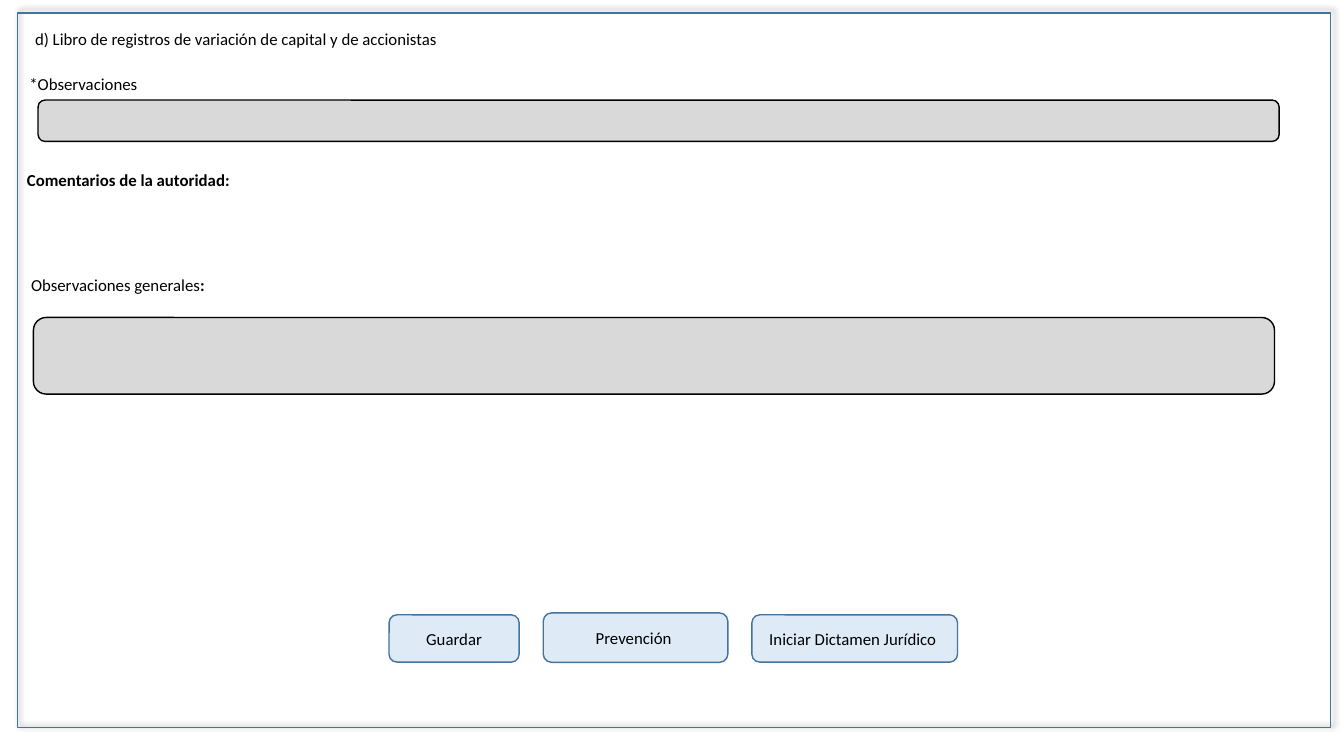
from lxml import etree
from pptx import Presentation
from pptx.dml.color import RGBColor
from pptx.enum.shapes import MSO_SHAPE
from pptx.enum.text import MSO_ANCHOR, MSO_AUTO_SIZE, PP_ALIGN
from pptx.oxml.ns import qn
from pptx.util import Pt

RECT, ROUNDED = MSO_SHAPE.RECTANGLE, MSO_SHAPE.ROUNDED_RECTANGLE
MIDDLE, CENTER = MSO_ANCHOR.MIDDLE, PP_ALIGN.CENTER
GROW = MSO_AUTO_SIZE.SHAPE_TO_FIT_TEXT

BLACK = RGBColor(0x00, 0x00, 0x00)
BLUE = RGBColor(0x43, 0x73, 0x9E)
PALE_BLUE = RGBColor(0xDE, 0xEB, 0xF7)
GRAY = RGBColor(0xD9, 0xD9, 0xD9)


def add_box(s, kind, left, top, width, height, line, fill=None):
    sp = s.shapes.add_shape(kind, Pt(left), Pt(top), Pt(width), Pt(height))
    sp.shadow.inherit = False
    if fill is None:
        sp.fill.background()
    else:
        sp.fill.solid()
        sp.fill.fore_color.rgb = fill
    sp.line.color.rgb = line
    sp.line.width = Pt(1)
    return sp


def add_shadow(sp):
    effects = sp.element.spPr.find(qn("a:effectLst"))
    shadow = etree.SubElement(effects, qn("a:outerShdw"), blurRad=str(Pt(4)),
                              dist=str(Pt(3)), dir=str(315 * 60000),
                              algn="bl", rotWithShape="0")
    color = etree.SubElement(shadow, qn("a:srgbClr"), val=str(BLACK))
    etree.SubElement(color, qn("a:alpha"), val="40000")


def style(p):
    p.font.name = "Calibri"
    p.font.size = Pt(12)
    p.font.color.rgb = BLACK


def add_label(s, left, top, width, text, bold_text=""):
    tf = s.shapes.add_textbox(Pt(left), Pt(top), Pt(width), Pt(21.6)).text_frame
    tf.word_wrap = True
    tf.auto_size = GROW
    p = tf.paragraphs[0]
    style(p)
    for part, bold in ((text, False), (bold_text, True)):
        if part:
            r = p.add_run()
            r.text = part
            r.font.bold = bold


def add_button(s, left, top, width, height, text):
    tf = add_box(s, ROUNDED, left, top, width, height, BLUE, PALE_BLUE).text_frame
    tf.word_wrap = True
    tf.vertical_anchor = MIDDLE
    p = tf.paragraphs[0]
    p.text = text
    p.alignment = CENTER
    style(p)


def main():
    prs = Presentation()
    prs.slide_width, prs.slide_height = Pt(960), Pt(540)
    s = prs.slides.add_slide(prs.slide_layouts[6])

    # Form frame
    add_shadow(add_box(s, RECT, 12.4, 9.2, 938.2, 510.6, BLUE))

    # Action buttons
    add_button(s, 277.9, 439.2, 92.9, 33.8, "Guardar")
    add_button(s, 388.1, 437.8, 131.8, 35.3, "Prevención ")
    add_button(s, 537.1, 439.2, 146.9, 33.8, "Iniciar Dictamen Jurídico ")

    # Shareholder register section
    add_label(s, 18, 17.3, 441.4,
              "d) Libro de registros de variación de capital y de accionistas")
    add_box(s, ROUNDED, 27.2, 71.5, 886.5, 29.5, BLACK, GRAY)
    add_label(s, 13.9, 49, 288, "*Observaciones")
    add_label(s, 12.2, 117.4, 199.4, "", "Comentarios de la autoridad:")

    # General observations
    add_label(s, 15.1, 193, 280.8, "Observaciones generales", ":")
    add_box(s, ROUNDED, 23.9, 226.8, 886.5, 54.7, BLACK, GRAY)

    prs.save("out.pptx")


if __name__ == "__main__":
    main()
